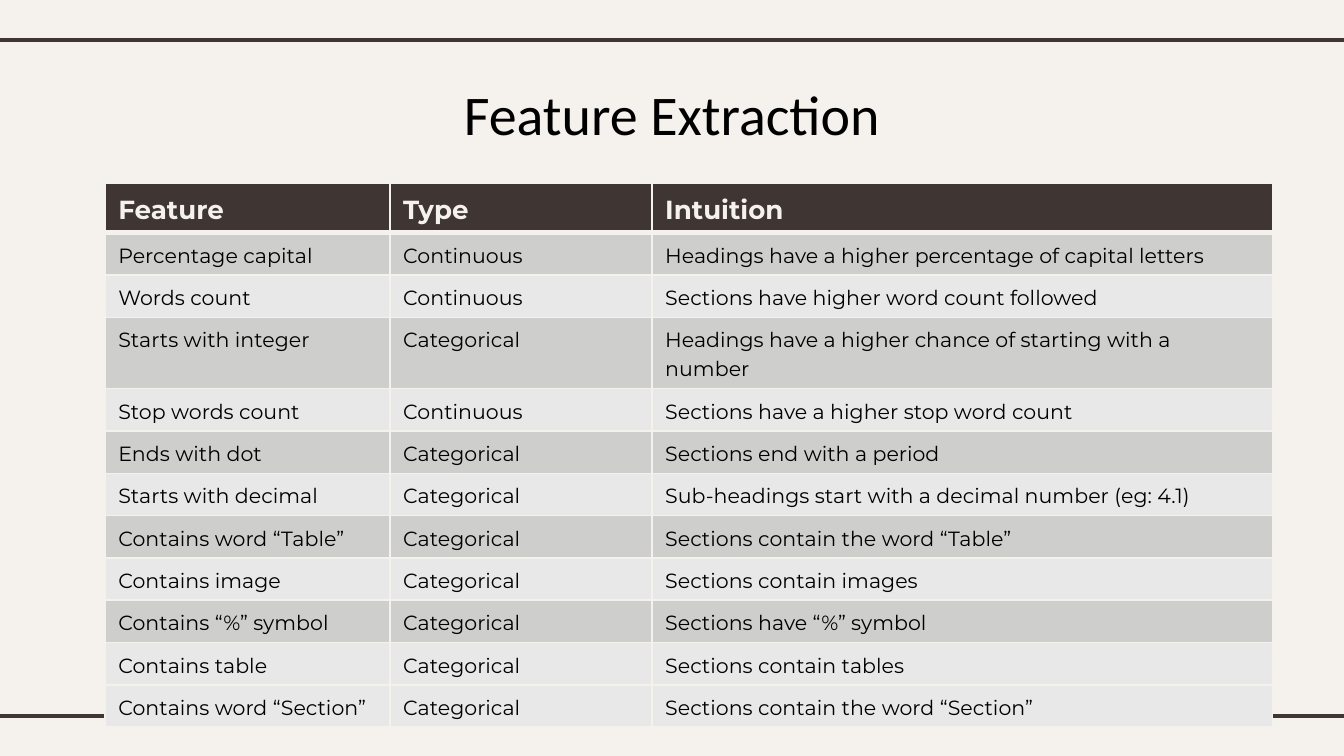
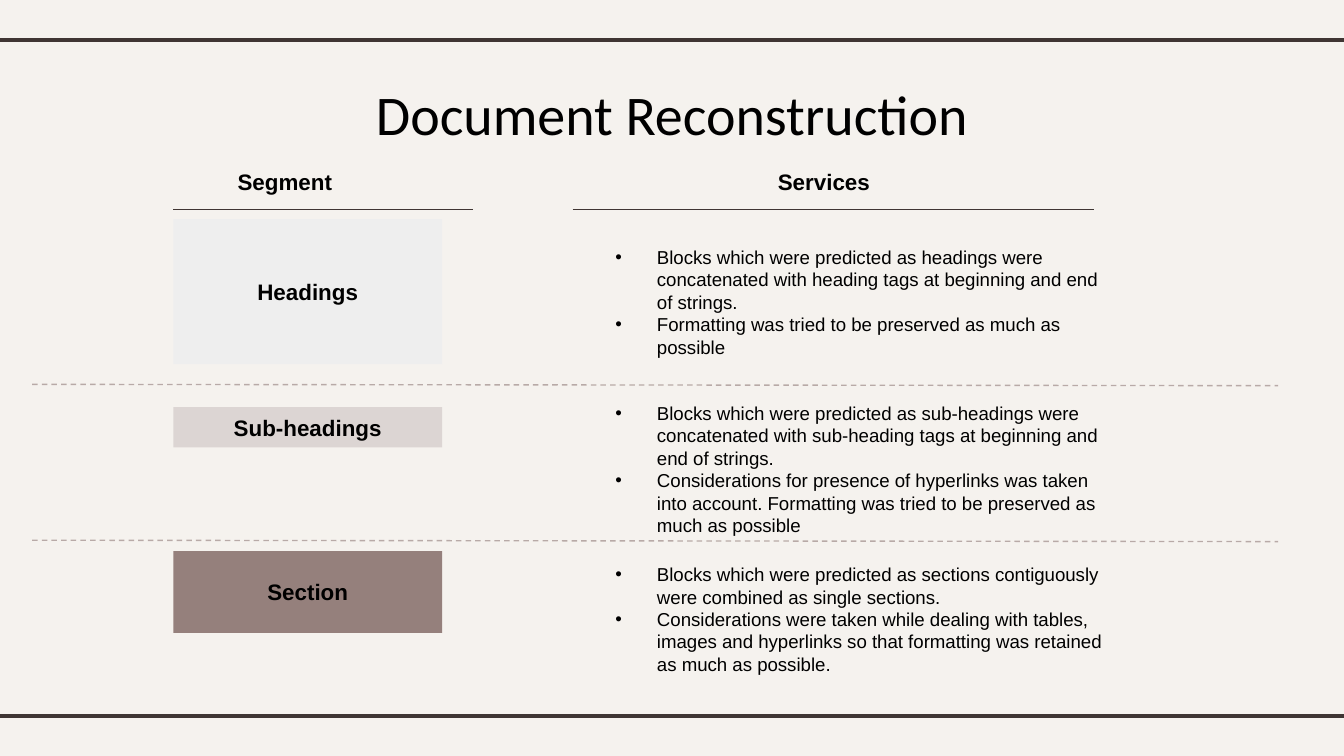
from lxml import etree
from pptx import Presentation
from pptx.dml.color import RGBColor
from pptx.enum.dml import MSO_LINE
from pptx.enum.shapes import MSO_CONNECTOR, MSO_SHAPE
from pptx.enum.text import MSO_ANCHOR, MSO_AUTO_SIZE, PP_ALIGN
from pptx.oxml.ns import qn
from pptx.util import Inches, Pt

STRAIGHT, RECT, DASH = MSO_CONNECTOR.STRAIGHT, MSO_SHAPE.RECTANGLE, MSO_LINE.DASH
TOP, MIDDLE = MSO_ANCHOR.TOP, MSO_ANCHOR.MIDDLE
LEFT, CENTER = PP_ALIGN.LEFT, PP_ALIGN.CENTER
FIXED, GROW = MSO_AUTO_SIZE.NONE, MSO_AUTO_SIZE.SHAPE_TO_FIT_TEXT

CREAM = RGBColor(0xF5, 0xF2, 0xEE)
BROWN = RGBColor(0x3F, 0x35, 0x33)
TAUPE = RGBColor(0xB8, 0xAA, 0xA7)
BLACK = RGBColor(0x00, 0x00, 0x00)
GREY = RGBColor(0xCE, 0xCE, 0xCD)
PALE = RGBColor(0xE8, 0xE8, 0xE8)
MIST = RGBColor(0xEE, 0xEE, 0xEE)
ROSE = RGBColor(0xDC, 0xD5, 0xD3)
MOCHA = RGBColor(0x95, 0x80, 0x7C)

WIDE = 10
HIGH = WIDE * 9 / 16
EDGE = 0.78  # left margin of title and table


def rule(slide, start, end, color, width, dash=None):
    """Draw a straight line between two (x, y) points in inches."""
    line = slide.shapes.add_connector(STRAIGHT, *map(Inches, start + end))
    line.line.color.rgb = color
    line.line.width = Pt(width)
    if dash:
        line.line.dash_style = dash
    etree.SubElement(line._element.spPr, qn("a:effectLst"))


def write(frame, lines, face, size, color=BLACK, bold=False, align=LEFT, dots=False):
    """Fill a text frame with one paragraph per line, bulleted if dots is set."""
    frame.word_wrap = True
    for i, text in enumerate(lines):
        para = frame.add_paragraph() if i else frame.paragraphs[0]
        para.text = text
        para.alignment = align
        if dots:
            props = para._p.get_or_add_pPr()
            props.set("marL", str(Inches(0.31)))
            props.set("indent", str(-Inches(0.31)))
            tint = etree.SubElement(props, qn("a:buClr"))
            etree.SubElement(tint, qn("a:srgbClr"), val=str(BLACK))
            etree.SubElement(props, qn("a:buFont"), typeface=face)
            etree.SubElement(props, qn("a:buChar"), char="•")
        font = para.font
        font.name, font.size, font.bold = face, Pt(size), bold
        font.color.rgb = color


prs = Presentation()
prs.slide_width, prs.slide_height = Inches(WIDE), Inches(HIGH)
back = prs.slide_master.background.fill
back.solid()
back.fore_color.rgb = CREAM

slides = []
for name in ("Feature Extraction", "Document Reconstruction"):
    slide = prs.slides.add_slide(prs.slide_layouts[5])
    for y in (0.3, 5.33):
        rule(slide, (-0.08, y), (WIDE + 0.08, y), BROWN, 2.25)
    title = slide.shapes.title
    title.left, title.top = Inches(EDGE), Inches(0.49)
    title.width, title.height = Inches(WIDE - 2 * EDGE), Inches(0.63)
    frame = title.text_frame
    frame.margin_left = frame.margin_right = Inches(0.1)
    frame.margin_top = frame.margin_bottom = Inches(0.1)
    frame.vertical_anchor, frame.auto_size = TOP, FIXED
    write(frame, [name], "Calibri", 30, align=CENTER)
    slides.append(slide)
first, second = slides

# Feature table
rows = [
    ("Feature", "Type", "Intuition"),
    ("Percentage capital", "Continuous", "Headings have a higher percentage of capital letters"),
    ("Words count", "Continuous", "Sections have higher word count followed"),
    ("Starts with integer", "Categorical", "Headings have a higher chance of starting with a number"),
    ("Stop words count", "Continuous", "Sections have a higher stop word count"),
    ("Ends with dot", "Categorical", "Sections end with a period"),
    ("Starts with decimal", "Categorical", "Sub-headings start with a decimal number (eg: 4.1)"),
    ("Contains word “Table”", "Categorical", "Sections contain the word “Table”"),
    ("Contains image", "Categorical", "Sections contain images"),
    ("Contains “%” symbol", "Categorical", "Sections have “%” symbol"),
    ("Contains table", "Categorical", "Sections contain tables"),
    ("Contains word “Section”", "Categorical", "Sections contain the word “Section”"),
]
cols = (2.12, 1.95, 4.62)
tall = [0.35, 0.31] + [0.29] * (len(rows) - 2)
table = first.shapes.add_table(
    len(rows), len(cols), Inches(EDGE), Inches(1.36), Inches(sum(cols)), Inches(sum(tall))
).table
for col, width in zip(table.columns, cols):
    col.width = Inches(width)
for r, row in enumerate(rows):
    table.rows[r].height = Inches(tall[r])
    head, last = r == 0, r == len(rows) - 1
    fill = BROWN if head else GREY if r % 2 and not last else PALE
    for c, text in enumerate(row):
        cell = table.cell(r, c)
        props = cell._tc.get_or_add_tcPr()
        for side in "LRTB":
            thick = (r, side) in ((0, "B"), (1, "T"))
            edge = etree.SubElement(props, qn("a:ln" + side), w=str(Pt(3 if thick else 1)))
            solid = etree.SubElement(edge, qn("a:solidFill"))
            etree.SubElement(solid, qn("a:srgbClr"), val=str(CREAM))
        cell.fill.solid()
        cell.fill.fore_color.rgb = fill
        write(cell.text_frame, [text], "Montserrat", 14 if head else 11,
              CREAM if head else BLACK, bold=head)
        cell.text_frame.paragraphs[0].line_spacing = 1.15

# Column heads: text, text left, text width, line start, line end
heads = [("Segment", 1.4, 1.44, 1.29, 3.52), ("Services", 4.54, 3.18, 4.26, 8.14)]
for text, left, width, start, end in heads:
    box = second.shapes.add_textbox(Inches(left), Inches(1.25), Inches(width), Inches(0.2))
    frame = box.text_frame
    frame.margin_left = frame.margin_right = frame.margin_top = frame.margin_bottom = 0
    frame.auto_size = GROW
    write(frame, [text], "Arial", 12, bold=True, align=CENTER)
    rule(second, (start, 1.56), (end, 1.56), BROWN, 0.75)

for y in (2.86, 4.02):
    rule(second, (0.24, y), (9.51, y + 0.01), TAUPE, 0.75, DASH)

# Segments: label, colour, block top and height, note top and height, notes
parts = [
    ("Headings", MIST, 1.63, 1.08, 1.78, 0.94, [
        "Blocks which were predicted as headings were concatenated with heading tags "
        "at beginning and end of strings.",
        "Formatting was tried to be preserved as much as possible",
    ]),
    ("Sub-headings", ROSE, 3.03, 0.3, 2.94, 1.11, [
        "Blocks which were predicted as sub-headings were concatenated with sub-heading tags "
        "at beginning and end of strings.",
        "Considerations for presence of hyperlinks was taken into account. "
        "Formatting was tried to be preserved as much as possible",
    ]),
    ("Section", MOCHA, 4.1, 0.61, 4.14, 0.94, [
        "Blocks which were predicted as sections contiguously were combined as single sections.",
        "Considerations were taken while dealing with tables, images and hyperlinks "
        "so that formatting was retained as much as possible.",
    ]),
]
for label, color, top, height, y, deep, notes in parts:
    block = second.shapes.add_shape(RECT, Inches(1.29), Inches(top), Inches(2), Inches(height))
    block.shadow.inherit = False
    block.fill.solid()
    block.fill.fore_color.rgb = color
    block.line.fill.background()
    block.text_frame.vertical_anchor = MIDDLE
    write(block.text_frame, [label], "Arial", 12, bold=True, align=CENTER)
    box = second.shapes.add_textbox(Inches(4.48), Inches(y), Inches(3.88), Inches(deep))
    box.text_frame.auto_size = GROW
    write(box.text_frame, notes, "Arial", 10, dots=True)

prs.save("out.pptx")
